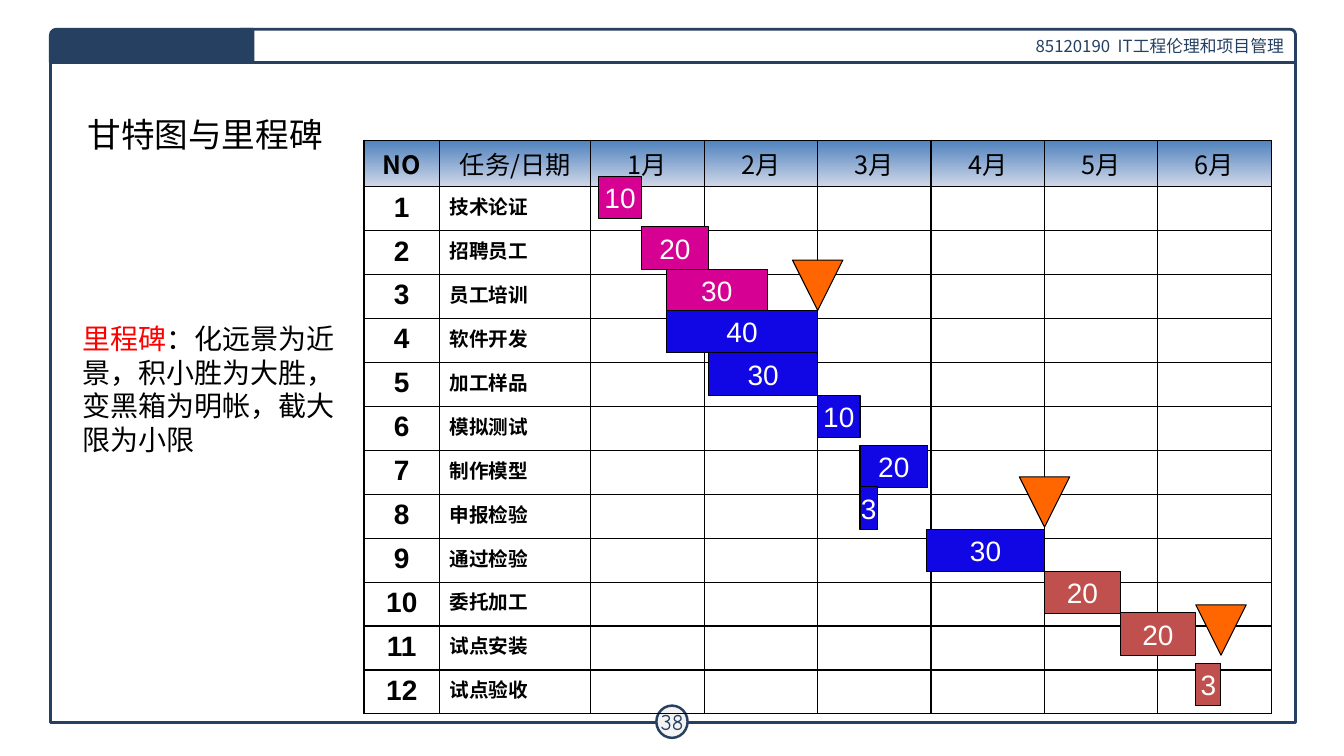
from dataclasses import dataclass

from lxml import etree
from pptx import Presentation, util as u
from pptx.dml.color import RGBColor
from pptx.enum import shapes, text
from pptx.oxml.ns import qn

NAVY, BLACK, WHITE = "254061", "000000", "FFFFFF"
MAGENTA, BLUE, BRICK, ORANGE = "D60093", "1106E4", "C0504D", "FF6600"
SANS, ARIAL = "Noto Sans CJK SC", "Arial"
BAR_HEIGHT, MILESTONE_SIZE = 0.42, 0.5
HEADER_HEIGHT, TABLE_HEIGHT = 0.4, 5.63
COLUMN_WIDTHS = [0.75, 1.5] + [1.125] * 6
HEADINGS = ["NO", "任务/日期"] + [f"{month}月" for month in range(1, 7)]


@dataclass
class Task:
    name: str
    days: int
    left: float
    top: float
    width: float
    color: str


@dataclass
class Milestone:
    left: float
    top: float


TASKS = [
    Task("技术论证", 10, 5.94, 1.75, 0.42, MAGENTA),
    Task("招聘员工", 20, 6.36, 2.25, 0.67, MAGENTA),
    Task("员工培训", 30, 6.61, 2.67, 1, MAGENTA),
    Task("软件开发", 40, 6.61, 3.08, 1.5, BLUE),
    Task("加工样品", 30, 7.03, 3.5, 1.08, BLUE),
    Task("模拟测试", 10, 8.11, 3.92, 0.42, BLUE),
    Task("制作模型", 20, 8.53, 4.42, 0.67, BLUE),
    Task("申报检验", 3, 8.53, 4.83, 0.17, BLUE),
    Task("通过检验", 30, 9.19, 5.25, 1.17, BLUE),
    Task("委托加工", 20, 10.36, 5.67, 0.75, BRICK),
    Task("试点安装", 20, 11.11, 6.08, 0.75, BRICK),
    Task("试点验收", 3, 11.86, 6.58, 0.25, BRICK),
]
MILESTONES = [Milestone(7.86, 2.58), Milestone(10.11, 4.73), Milestone(11.86, 6)]


def rgb(color: str) -> RGBColor:
    return RGBColor.from_string(color)


def write(frame, words: str, size: float, font: str, color: str,
          align=text.PP_ALIGN.CENTER, bold: bool = False) -> None:
    frame.text = words
    paragraph = frame.paragraphs[0]
    paragraph.alignment = align
    paragraph.font.size = u.Pt(size)
    paragraph.font.name = font
    paragraph.font.bold = bold
    paragraph.font.color.rgb = rgb(color)


def draw(slide, kind, left: float, top: float, width: float, height: float,
         fill: str = "", line: str = BLACK, weight: float = 0.75):
    shape = slide.shapes.add_shape(kind, *map(u.Inches, (left, top, width, height)))
    shape.shadow.inherit = False
    if fill:
        shape.fill.solid()
        shape.fill.fore_color.rgb = rgb(fill)
    else:
        shape.fill.background()
    shape.line.color.rgb = rgb(line)
    shape.line.width = u.Pt(weight)
    shape.text_frame.vertical_anchor = text.MSO_ANCHOR.MIDDLE
    return shape


def draw_page_frame(slide) -> None:
    kinds = shapes.MSO_SHAPE
    draw(slide, kinds.RECTANGLE, 0.5, 0.5, 12.35, 6.67, line=NAVY, weight=2)
    course = draw(slide, kinds.ROUND_1_RECTANGLE, 2.38, 0.29, 10.47, 0.33, WHITE, NAVY, 2)
    write(course.text_frame, "85120190  IT工程伦理和项目管理", 12, SANS, NAVY,
          text.PP_ALIGN.RIGHT)
    tab = draw(slide, kinds.ROUND_1_RECTANGLE, 0.5, 0.29, 2.01, 0.33, NAVY, NAVY, 2)
    tab.adjustments[0] = 0.175
    tab.element.spPr.find(qn("a:xfrm")).set("flipH", "1")


def draw_page_number(slide) -> None:
    badge = draw(slide, shapes.MSO_SHAPE.OVAL, 6.51, 7, 0.31, 0.32, "F3F3F3", NAVY, 1.75)
    frame = badge.text_frame
    frame.word_wrap = False
    frame.margin_left = frame.margin_right = u.Inches(0.04)
    frame.margin_top = frame.margin_bottom = u.Inches(0.04)
    write(frame, "38", 16, "Comic Neue", NAVY)


def add_borders(cell) -> None:
    properties = cell._tc.get_or_add_tcPr()
    for position, side in enumerate(("lnL", "lnR", "lnT", "lnB")):
        border = etree.Element(qn(f"a:{side}"), w=str(u.Pt(1)))
        solid = etree.SubElement(border, qn("a:solidFill"))
        etree.SubElement(solid, qn("a:srgbClr"), val=BLACK)
        properties.insert(position, border)


def draw_schedule(slide) -> None:
    schedule = slide.shapes.add_table(
        len(TASKS) + 1, len(HEADINGS), u.Inches(3.61), u.Inches(1.39),
        u.Inches(sum(COLUMN_WIDTHS)), u.Inches(TABLE_HEIGHT)).table
    for column, width in zip(schedule.columns, COLUMN_WIDTHS):
        column.width = u.Inches(width)
    task_height = (TABLE_HEIGHT - HEADER_HEIGHT) / len(TASKS)
    for number, row in enumerate(schedule.rows):
        row.height = u.Inches(task_height if number else HEADER_HEIGHT)
    for cell in schedule.iter_cells():
        cell.fill.background()
    for column, heading in enumerate(HEADINGS):
        cell = schedule.cell(0, column)
        cell.fill.gradient()
        cell.fill.gradient_angle = 270
        for stop, color in zip(cell.fill.gradient_stops, ("4F81BD", "D0D8E8")):
            stop.color.rgb = rgb(color)
        write(cell.text_frame, heading, 18, SANS, BLACK, bold=column == 0)
    for number, task in enumerate(TASKS, 1):
        write(schedule.cell(number, 0).text_frame, str(number), 20, ARIAL, BLACK, bold=True)
        write(schedule.cell(number, 1).text_frame, task.name, 14, ARIAL, BLACK,
              text.PP_ALIGN.LEFT, True)
    for cell in schedule.iter_cells():
        add_borders(cell)


def draw_bar(slide, task: Task) -> None:
    bar = draw(slide, shapes.MSO_SHAPE.RECTANGLE, task.left, task.top,
               task.width, BAR_HEIGHT, task.color)
    bar.text_frame.word_wrap = False
    write(bar.text_frame, str(task.days), 20, ARIAL, WHITE)


def draw_milestone(slide, milestone: Milestone) -> None:
    marker = draw(slide, shapes.MSO_SHAPE.ISOSCELES_TRIANGLE, milestone.left,
                  milestone.top, MILESTONE_SIZE, MILESTONE_SIZE, ORANGE)
    marker.rotation = 180


def draw_explanation(slide) -> None:
    box = slide.shapes.add_textbox(*map(u.Inches, (0.72, 3.14, 2.76, 1.45)))
    box.text_frame.word_wrap = True
    paragraph = box.text_frame.paragraphs[0]
    paragraph.font.size = u.Pt(20)
    paragraph.font.name = ARIAL
    for words, color in (("里程碑", "FF0000"),
                         ("：化远景为近景，积小胜为大胜，变黑箱为明帐，截大限为小限", BLACK)):
        run = paragraph.add_run()
        run.text = words
        run.font.color.rgb = rgb(color)


def main() -> None:
    deck = Presentation()
    deck.slide_width, deck.slide_height = u.Inches(13.33), u.Inches(7.5)
    slide = deck.slides.add_slide(deck.slide_layouts[5])
    title = slide.shapes.title
    title.left, title.top, title.width, title.height = map(
        u.Inches, (0.58, 1.08, 2.91, 0.62))
    title.text_frame.vertical_anchor = text.MSO_ANCHOR.TOP
    write(title.text_frame, "甘特图与里程碑", 24, SANS, BLACK)
    draw_page_frame(slide)
    draw_page_number(slide)
    draw_schedule(slide)
    for task in TASKS:
        draw_bar(slide, task)
    for milestone in MILESTONES:
        draw_milestone(slide, milestone)
    draw_explanation(slide)
    deck.save("out.pptx")


if __name__ == "__main__":
    main()
